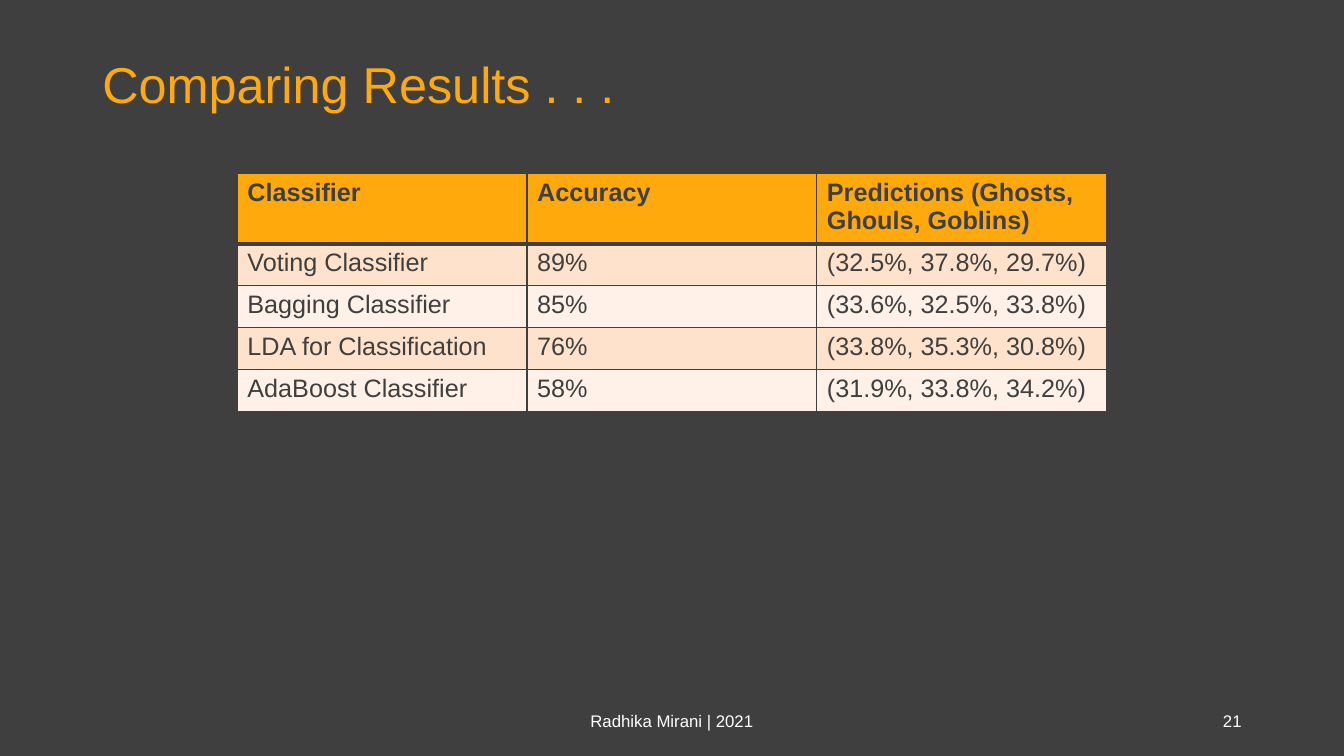
from lxml.etree import SubElement
from pptx import Presentation
from pptx.dml.color import RGBColor
from pptx.enum.text import MSO_ANCHOR as Anchor, PP_ALIGN as Align
from pptx.oxml.ns import qn
from pptx.util import Emu, Pt

CHARCOAL = RGBColor(0x3F, 0x3F, 0x3F)
ORANGE = RGBColor(0xFF, 0xA9, 0x0D)
PEACH = RGBColor(0xFF, 0xE2, 0xCC)
CREAM = RGBColor(0xFF, 0xF1, 0xE7)
WHITE = RGBColor(0xFF, 0xFF, 0xFF)

EMU_PER_PX = 9525
COLUMN_WIDTH, ROW_HEIGHT = 276, 40
THIN, THICK = Pt(1), Pt(3)

RESULTS = [
    ("Classifier", "Accuracy", "Predictions (Ghosts, Ghouls, Goblins)"),
    ("Voting Classifier", "89%", "(32.5%, 37.8%, 29.7%)"),
    ("Bagging Classifier", "85%", "(33.6%, 32.5%, 33.8%)"),
    ("LDA for Classification", "76%", "(33.8%, 35.3%, 30.8%)"),
    ("AdaBoost Classifier", "58%", "(31.9%, 33.8%, 34.2%)"),
]


def px(*lengths):
    return [Emu(length * EMU_PER_PX) for length in lengths]


class Deck:
    font_name = "Arial"

    def __init__(self, width, height):
        self.presentation = Presentation()
        self.presentation.slide_width, self.presentation.slide_height = px(width, height)
        blank = self.presentation.slide_layouts[6]
        self.slide = self.presentation.slides.add_slide(blank)
        background = self.slide.background.fill
        background.solid()
        background.fore_color.rgb = CHARCOAL

    def style(self, paragraph, size, color, bold=False):
        font = paragraph.font
        font.name, font.size, font.bold = self.font_name, Pt(size), bold
        font.color.rgb = color

    def text(self, words, box, size, color, align=Align.LEFT, spacing=1.0):
        frame = self.slide.shapes.add_textbox(*px(*box)).text_frame
        frame.word_wrap = True
        frame.vertical_anchor = Anchor.MIDDLE
        paragraph = frame.paragraphs[0]
        paragraph.text = words
        paragraph.alignment = align
        paragraph.line_spacing = spacing
        self.style(paragraph, size, color)

    def border(self, cell, side, width):
        properties = cell._tc.get_or_add_tcPr()
        line = SubElement(properties, qn(f"a:ln{side}"), w=str(width))
        fill = SubElement(line, qn("a:solidFill"))
        SubElement(fill, qn("a:srgbClr"), val=str(CHARCOAL))

    def cell(self, cell, words, row):
        header = row == 0
        cell.text = words
        self.style(cell.text_frame.paragraphs[0], 18, CHARCOAL, bold=header)
        # Borders come before the fill in the cell properties
        widths = {"L": THIN, "R": THIN,
                  "T": THICK if row == 1 else THIN,
                  "B": THICK if header else THIN}
        for side, width in widths.items():
            self.border(cell, side, width)
        cell.fill.solid()
        cell.fill.fore_color.rgb = ORANGE if header else (CREAM, PEACH)[row % 2]

    def table(self, rows, left, top):
        row_count, column_count = len(rows), len(rows[0])
        size = COLUMN_WIDTH * column_count, ROW_HEIGHT * row_count
        table = self.slide.shapes.add_table(
            row_count, column_count, *px(left, top, *size)).table
        for row, entries in enumerate(rows):
            for column, words in enumerate(entries):
                self.cell(table.cell(row, column), words, row)


def main():
    deck = Deck(1280, 720)

    # Title
    deck.text("Comparing Results . . .", (88, 38, 1104, 90), 36, ORANGE, spacing=0.9)

    # Classifier comparison
    deck.table(RESULTS, 226, 165)

    # Footer
    deck.text("Radhika Mirani | 2021", (424, 667, 432, 38), 12, WHITE, Align.CENTER)
    deck.text("21", (904, 667, 288, 38), 12, WHITE, Align.RIGHT)

    deck.presentation.save("out.pptx")


if __name__ == "__main__":
    main()
